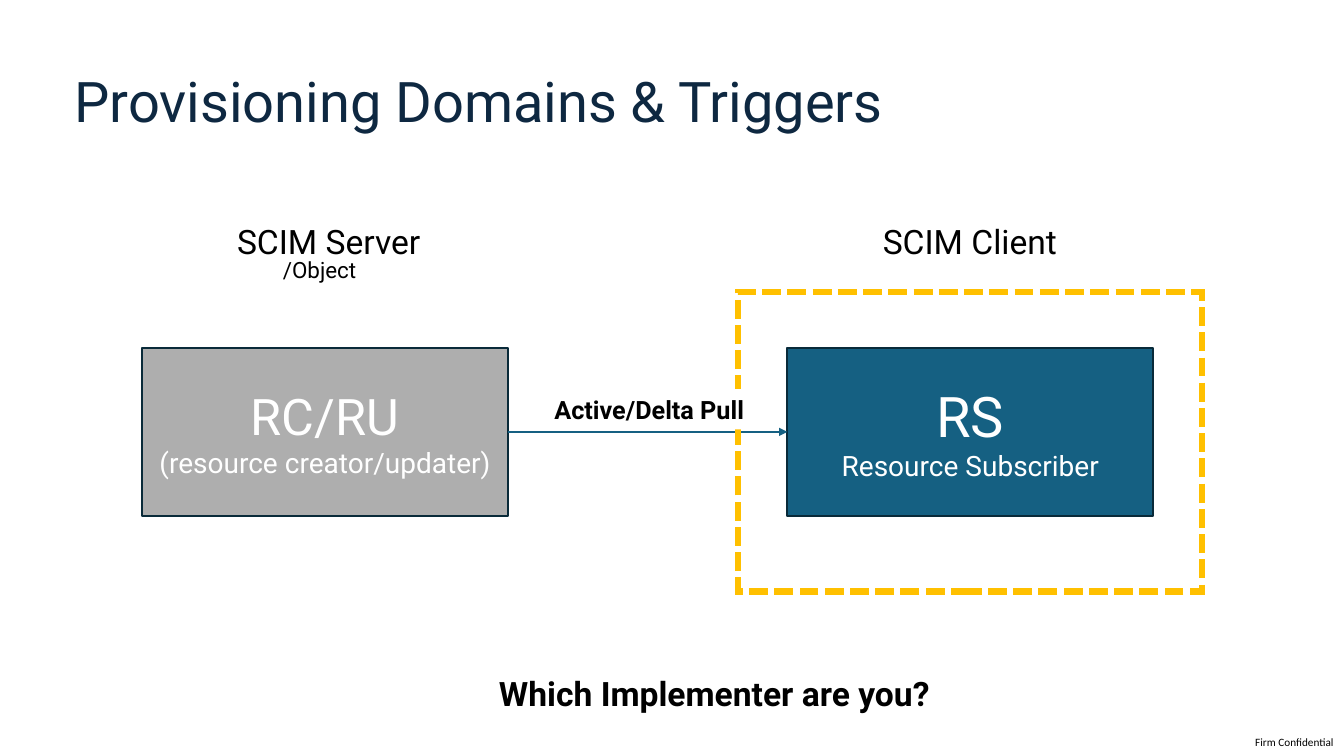
from lxml import etree
from pptx import Presentation
from pptx import util as u
from pptx.dml.color import RGBColor
from pptx.enum import dml, shapes, text
from pptx.oxml import ns

COLORS = {"navy": "0E2841", "blue": "156082", "edge": "092A39", "gray": "AEAEAE",
          "gold": "FFC000", "black": "000000", "white": "FFFFFF"}


def rgb(name):
    return RGBColor.from_string(COLORS[name])


def write(tf, *lines, font="Roboto", color="black", bold=False,
          align=text.PP_ALIGN.CENTER, anchor=text.MSO_ANCHOR.TOP):
    """Fill a text frame with (text, size) lines, one paragraph each."""
    tf.word_wrap = True
    tf.vertical_anchor = anchor
    for i, (line, size) in enumerate(lines):
        p = tf.add_paragraph() if i else tf.paragraphs[0]
        p.alignment = align
        r = p.add_run()
        r.text = line
        r.font.name, r.font.size, r.font.bold = font, u.Pt(size), bold
        r.font.color.rgb = rgb(color)


prs = Presentation()
prs.slide_width, prs.slide_height = u.Inches(13.33), u.Inches(7.5)
s = prs.slides.add_slide(prs.slide_layouts[5])

# Title
title = s.shapes.title
title.left, title.top = u.Inches(0.64), u.Inches(0.5)
title.width, title.height = u.Inches(12.17), u.Inches(1.07)
write(title.text_frame, ("Provisioning Domains & Triggers", 40), color="navy",
      align=text.PP_ALIGN.LEFT, anchor=text.MSO_ANCHOR.MIDDLE)
title.text_frame.paragraphs[0].line_spacing = 0.9

# Footer
footer = s.shapes.add_textbox(u.Inches(12.45), u.Inches(7.3), u.Inches(0.84), u.Inches(0.13))
tf = footer.text_frame
tf.margin_left = tf.margin_right = tf.margin_top = tf.margin_bottom = 0
write(tf, ("Firm Confidential", 8), font="Calibri", align=text.PP_ALIGN.LEFT)

# Resource boxes
box_top, box_w, box_h = 3.45, 3.63, 1.67
server_x, client_x = 1.41, 7.81
for x, fill, name, size, role in (
        (client_x, "blue", "RS", 40, "Resource Subscriber"),
        (server_x, "gray", "RC/RU", 36, "(resource creator/updater)")):
    sp = s.shapes.add_shape(shapes.MSO_SHAPE.RECTANGLE, u.Inches(x), u.Inches(box_top),
                            u.Inches(box_w), u.Inches(box_h))
    sp.shadow.inherit = False
    sp.fill.solid()
    sp.fill.fore_color.rgb = rgb(fill)
    sp.line.color.rgb = rgb("edge")
    sp.line.width = u.Pt(1.5)
    write(sp.text_frame, (name, size), (role, 20), color="white",
          anchor=text.MSO_ANCHOR.MIDDLE)

# Pull arrow from server to client
arrow_y = u.Inches(box_top + box_h / 2)
arrow = s.shapes.add_connector(shapes.MSO_CONNECTOR.STRAIGHT, u.Inches(server_x + box_w),
                               arrow_y, u.Inches(client_x), arrow_y)
arrow.line.color.rgb = rgb("blue")
arrow.line.width = u.Pt(1.5)
etree.SubElement(arrow.line._get_or_add_ln(), ns.qn("a:tailEnd"), type="triangle")
etree.SubElement(arrow._element.spPr, ns.qn("a:effectLst"))

# Dashed frame around the client, with square corners
frame = s.shapes.add_shape(shapes.MSO_SHAPE.RECTANGLE, u.Inches(7.32), u.Inches(2.9),
                           u.Inches(4.6), u.Inches(2.97))
frame.shadow.inherit = False
frame.fill.background()
frame.line.color.rgb = rgb("gold")
frame.line.width = u.Pt(4.5)
frame.line.dash_style = dml.MSO_LINE.SQUARE_DOT
etree.SubElement(frame.line._get_or_add_ln(), ns.qn("a:miter"), lim="800000")

# Headings and closing question
for label, size, bold, x, y, w, h in (
        ("SCIM Client", 24, False, 8.39, 2.14, 2.46, 0.5),
        ("/Object", 16, False, 2.32, 2.49, 1.7, 0.37),
        ("SCIM Server", 24, False, 2, 2.14, 2.52, 0.5),
        ("Which Implementer are you?", 24, True, 4.73, 6.63, 4.71, 0.5)):
    tb = s.shapes.add_textbox(u.Inches(x), u.Inches(y), u.Inches(w), u.Inches(h))
    write(tb.text_frame, (label, size), bold=bold)

# Arrow label, masking the frame behind it
pull = s.shapes.add_shape(shapes.MSO_SHAPE.RECTANGLE, u.Inches(5.4), u.Inches(3.86),
                          u.Inches(2.24), u.Inches(0.4))
pull.shadow.inherit = False
pull.fill.solid()
pull.fill.fore_color.rgb = rgb("white")
pull.line.fill.background()
write(pull.text_frame, ("Active/Delta Pull", 18), bold=True, align=text.PP_ALIGN.LEFT)

prs.save("out.pptx")
